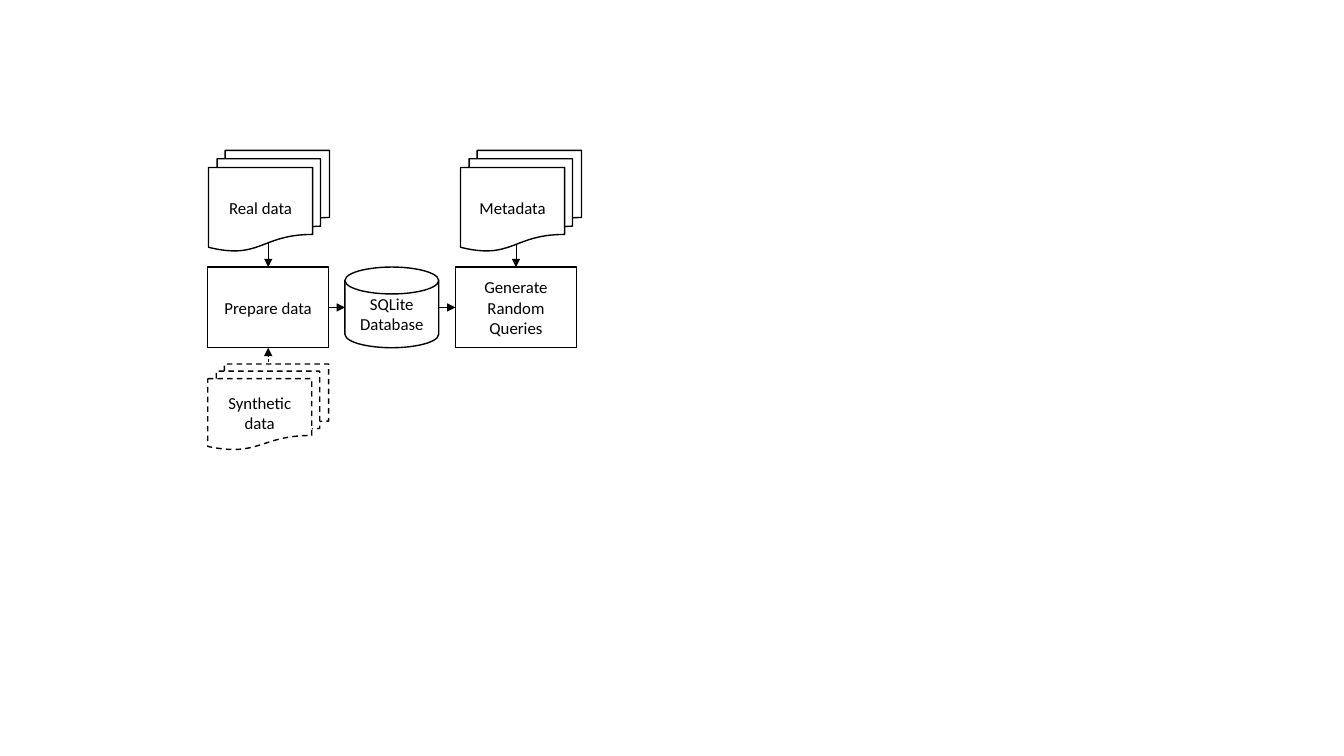
import pptx
import pptx.util
import pptx.dml.color
import pptx.enum.dml
import pptx.enum.shapes
import pptx.enum.text
import pptx.oxml.ns
import lxml.etree

Pt = pptx.util.Pt
SHAPE = pptx.enum.shapes.MSO_SHAPE
DASH = pptx.enum.dml.MSO_LINE.DASH
BLACK = pptx.dml.color.RGBColor(0, 0, 0)
WHITE = pptx.dml.color.RGBColor(255, 255, 255)

deck = pptx.Presentation()
deck.slide_width, deck.slide_height = Pt(960), Pt(540)
slide = deck.slides.add_slide(deck.slide_layouts[6])

# Shared grid of the flow, in points
STEP_WIDTH, STEP_HEIGHT = 86.4, 57.6
DATABASE_WIDTH = 67
PREPARE_LEFT, DATABASE_LEFT, QUERIES_LEFT = 148.4, 246.4, 325.4
STEP_TOP = 190.8
STEP_MIDDLE = STEP_TOP + STEP_HEIGHT / 2
STEP_BOTTOM = STEP_TOP + STEP_HEIGHT
PREPARE_CENTER = PREPARE_LEFT + STEP_WIDTH / 2
QUERIES_CENTER = QUERIES_LEFT + STEP_WIDTH / 2
INPUT_TOP, INPUT_HEIGHT = 107.4, 72
SYNTHETIC_TOP, SYNTHETIC_HEIGHT = 260, 61.2


def add_arrow(x1, y1, x2, y2, dash=None):
    arrow = slide.shapes.add_connector(
        pptx.enum.shapes.MSO_CONNECTOR.STRAIGHT, Pt(x1), Pt(y1), Pt(x2), Pt(y2))
    arrow.line.color.rgb = BLACK
    arrow.line.width = Pt(0.5)
    if dash:
        arrow.line.dash_style = dash
    qn = pptx.oxml.ns.qn
    line_xml = arrow.line._get_or_add_ln()
    lxml.etree.SubElement(line_xml, qn("a:tailEnd"), type="triangle")
    lxml.etree.SubElement(arrow._element.spPr, qn("a:effectLst"))


def add_node(kind, label, left, top, width, height, dash=None):
    node = slide.shapes.add_shape(kind, Pt(left), Pt(top), Pt(width), Pt(height))
    node.shadow.inherit = False
    node.fill.solid()
    node.fill.fore_color.rgb = WHITE
    node.line.color.rgb = BLACK
    node.line.width = Pt(1)
    if dash:
        node.line.dash_style = dash
    frame = node.text_frame
    frame.word_wrap = True
    frame.vertical_anchor = pptx.enum.text.MSO_ANCHOR.MIDDLE
    frame.text = label
    paragraph = frame.paragraphs[0]
    paragraph.alignment = pptx.enum.text.PP_ALIGN.CENTER
    paragraph.font.name = "Calibri"
    paragraph.font.size = Pt(12)
    paragraph.font.color.rgb = BLACK


# Arrows, behind the nodes
for center in (PREPARE_CENTER, QUERIES_CENTER):
    add_arrow(center, 158.4, center, STEP_TOP)
add_arrow(PREPARE_CENTER, 283.6, PREPARE_CENTER, STEP_BOTTOM, DASH)
add_arrow(PREPARE_LEFT + STEP_WIDTH, STEP_MIDDLE, DATABASE_LEFT, STEP_MIDDLE)
add_arrow(DATABASE_LEFT + DATABASE_WIDTH, STEP_MIDDLE, QUERIES_LEFT, STEP_MIDDLE)

# Processing row
for kind, label, left, width in (
    (SHAPE.RECTANGLE, "Prepare data", PREPARE_LEFT, STEP_WIDTH),
    (SHAPE.FLOWCHART_MAGNETIC_DISK, "SQLite Database", DATABASE_LEFT, DATABASE_WIDTH),
    (SHAPE.RECTANGLE, "Generate Random Queries", QUERIES_LEFT, STEP_WIDTH),
):
    add_node(kind, label, left, STEP_TOP, width, STEP_HEIGHT)

# Input documents; the synthetic ones are optional, hence dashed
for label, left, top, height, dash in (
    ("Metadata", 329, INPUT_TOP, INPUT_HEIGHT, None),
    ("Real data", 149, INPUT_TOP, INPUT_HEIGHT, None),
    ("Synthetic data", PREPARE_LEFT, SYNTHETIC_TOP, SYNTHETIC_HEIGHT, DASH),
):
    add_node(SHAPE.FLOWCHART_MULTIDOCUMENT, label, left, top, STEP_WIDTH, height, dash)

deck.save("out.pptx")
